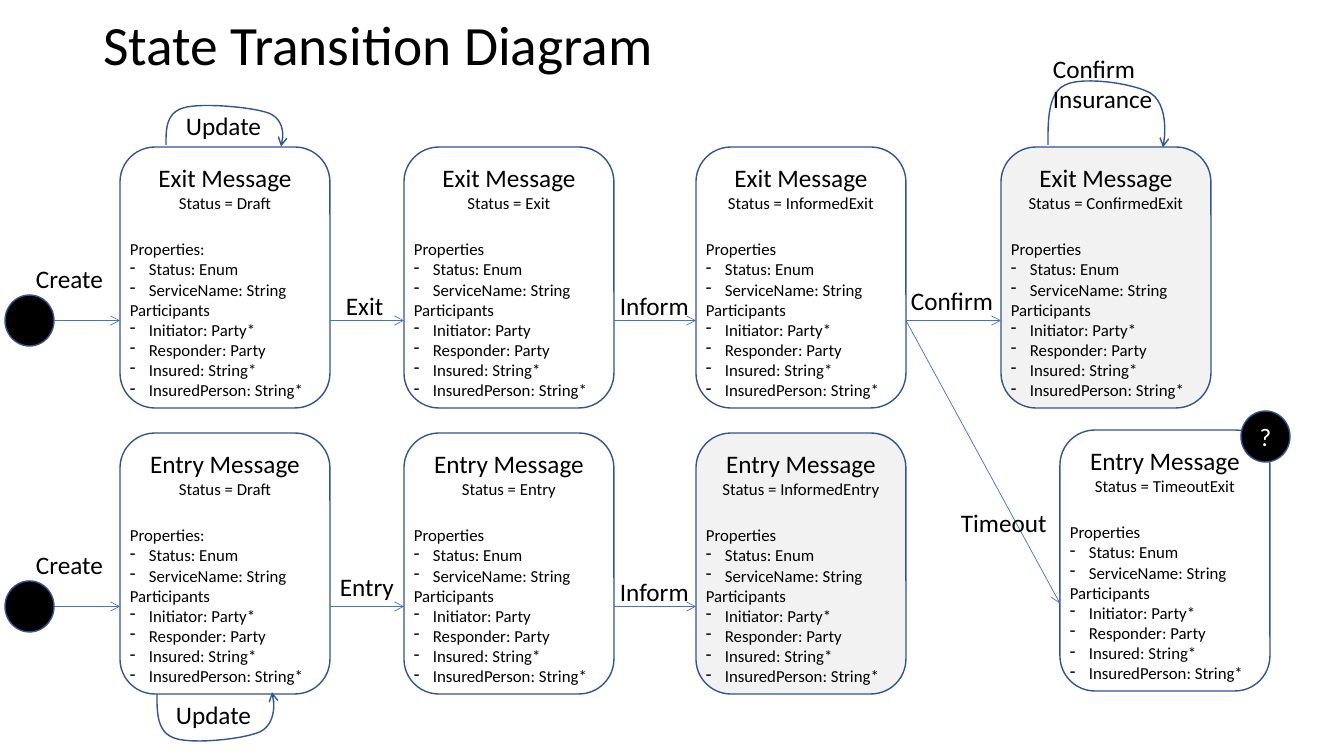
import lxml.etree
import pptx
import pptx.dml.color
import pptx.enum.shapes
import pptx.enum.text
import pptx.oxml.ns
import pptx.util

RGB = pptx.dml.color.RGBColor
SHAPE = pptx.enum.shapes.MSO_SHAPE
ALIGN = pptx.enum.text.PP_ALIGN
ANCHOR = pptx.enum.text.MSO_ANCHOR
AUTOSIZE = pptx.enum.text.MSO_AUTO_SIZE
qn = pptx.oxml.ns.qn

BLACK = RGB(0x00, 0x00, 0x00)
WHITE = RGB(0xFF, 0xFF, 0xFF)
FINAL_GREY = RGB(0xF2, 0xF2, 0xF2)
OUTLINE = RGB(0x32, 0x54, 0x91)
ARROW_BLUE = RGB(0x44, 0x72, 0xC4)

CARD_W, CARD_H = 210, 261
DETAILS_DROP, DETAILS_H = 87, 173
INDENT = 19
# Connection sites of a details box
BOX_LEFT, BOX_RIGHT = 1, 3
# Start and three Bezier curves: x in pixels, y as a share of the loop height
LOOP_PROFILE = [(0, 0), (0, 0.43), (0, 0.86), (17, 1), (34, 1.15), (86, 1.03),
                (103, 0.86), (119, 0.68), (118, 0.19), (115, -0.04)]
CURVE_STEPS = 12


def px(length):
    return pptx.util.Emu(round(length * 914400 / 100.8))


def bezier(points, t):
    weights = ((1 - t) ** 3, 3 * t * (1 - t) ** 2, 3 * t ** 2 * (1 - t), t ** 3)
    return tuple(sum(w * point[axis] for w, point in zip(weights, points)) for axis in (0, 1))


class Diagram:
    font_name = "Calibri"
    label_size, detail_size, title_size = 18, 12, 39.6

    def __init__(self, deck):
        self.slide = deck.slides.add_slide(deck.slide_layouts[5])
        self.shapes = self.slide.shapes

    def style(self, paragraph, size, color=BLACK, align=ALIGN.LEFT):
        paragraph.alignment = align
        paragraph.font.name = self.font_name
        paragraph.font.size = pptx.util.Pt(size)
        paragraph.font.color.rgb = color

    def arrowhead(self, shape):
        line = shape.line._get_or_add_ln()
        lxml.etree.SubElement(line, qn("a:tailEnd"), type="arrow")

    def title(self, text, x, y, w, h):
        title = self.shapes.title
        title.left, title.top, title.width, title.height = map(px, (x, y, w, h))
        frame = title.text_frame
        frame.text = text
        frame.auto_size = AUTOSIZE.NONE
        frame.vertical_anchor = ANCHOR.MIDDLE
        frame.paragraphs[0].line_spacing = 0.9
        self.style(frame.paragraphs[0], self.title_size)

    def outlined(self, shapes, kind, x, y, w, h, fill):
        shape = shapes.add_shape(kind, px(x), px(y), px(w), px(h))
        shape.shadow.inherit = False
        shape.fill.solid()
        shape.fill.fore_color.rgb = fill
        shape.line.color.rgb = OUTLINE
        shape.line.width = pptx.util.Pt(1)
        return shape

    def circle(self, x, y, text=""):
        circle = self.outlined(self.shapes, SHAPE.OVAL, x, y, 49, 51, BLACK)
        if text:
            frame = circle.text_frame
            frame.text = text
            frame.vertical_anchor = ANCHOR.MIDDLE
            self.style(frame.paragraphs[0], self.label_size, WHITE, ALIGN.CENTER)
        return circle

    def text_box(self, shapes, text, x, y, w, h, size, wrap):
        box = shapes.add_textbox(px(x), px(y), px(w), px(h))
        frame = box.text_frame
        frame.word_wrap = wrap
        frame.auto_size = AUTOSIZE.SHAPE_TO_FIT_TEXT
        frame.text = text
        for paragraph in frame.paragraphs:
            self.style(paragraph, size)
        return box

    def label(self, text, x, y, w, h=40):
        self.text_box(self.shapes, text, x, y, w, h, self.label_size, False)

    def bullet(self, paragraph):
        properties = paragraph._p.get_or_add_pPr()
        properties.set("marL", str(px(INDENT)))
        properties.set("indent", str(-px(INDENT)))
        mark = lxml.etree.Element(qn("a:buChar"), char="-")
        properties.find(qn("a:defRPr")).addprevious(mark)

    def card(self, message, status, x, y, fill=WHITE):
        """Draws one state and returns its details box, which the arrows join."""
        group = self.shapes.add_group_shape().shapes
        state = self.outlined(group, SHAPE.ROUNDED_RECTANGLE, x, y, CARD_W, CARD_H, fill)
        frame = state.text_frame
        frame.vertical_anchor = ANCHOR.TOP
        frame.text = f"{message} Message\nStatus = {status}"
        for paragraph, size in zip(frame.paragraphs, (self.label_size, self.detail_size)):
            self.style(paragraph, size, align=ALIGN.CENTER)

        heading = "Properties:" if status == "Draft" else "Properties"
        # Only the plain Exit state shows its initiator without a star
        initiator = "Party" if status in ("Exit", "Entry") else "Party*"
        lines = [heading, "Status: Enum", "ServiceName: String", "Participants",
                 f"Initiator: {initiator}", "Responder: Party",
                 "Insured: String*", "InsuredPerson: String*"]
        if status == "Entry":
            lines[4] = "Initiator: Party*" if message == "Exit" else lines[4]
        details = self.text_box(group, "\n".join(lines), x, y + DETAILS_DROP,
                                CARD_W, DETAILS_H, self.detail_size, True)
        for line, paragraph in zip(lines, details.text_frame.paragraphs):
            if line not in (heading, "Participants"):
                self.bullet(paragraph)
        return details

    def arrow(self, source, target):
        arrow = self.shapes.add_connector(
            pptx.enum.shapes.MSO_CONNECTOR.STRAIGHT,
            source.left + source.width, source.top + source.height // 2,
            target.left, target.top + target.height // 2)
        if source.auto_shape_type_is_box if hasattr(source, "auto_shape_type_is_box") else False:
            arrow.begin_connect(source, BOX_RIGHT)
        arrow.end_connect(target, BOX_LEFT)
        arrow.line.color.rgb = ARROW_BLUE
        arrow.line.width = pptx.util.Pt(0.5)
        self.arrowhead(arrow)
        lxml.etree.SubElement(arrow._element.spPr, qn("a:effectLst"))

    def loop(self, x, y, height):
        """Draws a self-transition; a negative height hangs below the card."""
        profile = [(px(x + dx), px(y - share * height)) for dx, share in LOOP_PROFILE]
        curve = [bezier(profile[start:start + 4], step / CURVE_STEPS)
                 for start in (0, 3, 6) for step in range(1, CURVE_STEPS + 1)]
        builder = self.shapes.build_freeform(*profile[0])
        builder.add_line_segments(curve, close=False)
        loop = builder.convert_to_shape()
        loop.shadow.inherit = False
        loop.fill.background()
        loop.line.color.rgb = OUTLINE
        loop.line.width = pptx.util.Pt(1)
        self.arrowhead(loop)


deck = pptx.Presentation()
deck.slide_width, deck.slide_height = px(1344), px(756)
diagram = Diagram(deck)
diagram.title("State Transition Diagram", 93, 15, 1159, 66)

# Message rows: start circle, states and the arrows between them
ROWS = [
    ("Exit", 147, [("Draft", 120, WHITE), ("Exit", 404, WHITE),
                   ("InformedExit", 696, WHITE), ("ConfirmedExit", 1001, FINAL_GREY)]),
    ("Entry", 433, [("Draft", 120, WHITE), ("Entry", 404, WHITE),
                    ("InformedEntry", 696, FINAL_GREY)]),
]
cards = {}
for message, top, states in ROWS:
    start = diagram.circle(5, top + 148)
    for status, left, fill in states:
        cards[message, status] = diagram.card(message, status, left, top, fill)
    row = [cards[message, status] for status, _, _ in states]
    for source, target in zip([start] + row, row):
        diagram.arrow(source, target)
    diagram.label("Create", 26, top + 111, 88)
    diagram.label("Inform", 610, top + 138, 90)

# Timeout branch
timeout = diagram.card("Entry", "TimeoutExit", 1060, 430)
diagram.arrow(cards["Exit", "InformedExit"], timeout)
diagram.circle(1241, 411, "?")

# Self-transitions
for left, base, height in [(166, 145, 37), (1048, 145, 60), (157, 694, -44)]:
    diagram.loop(left, base, height)

# Transition labels
for text, left, top, width in [("Update", 176, 105, 97), ("Update", 166, 694, 97),
                               ("Exit", 336, 285, 58), ("Entry", 330, 566, 75),
                               ("Confirm", 901, 280, 104), ("Timeout", 951, 502, 107)]:
    diagram.label(text, left, top, width)
diagram.label("Confirm\vInsurance", 1043, 48, 121, 71)

deck.save("out.pptx")
